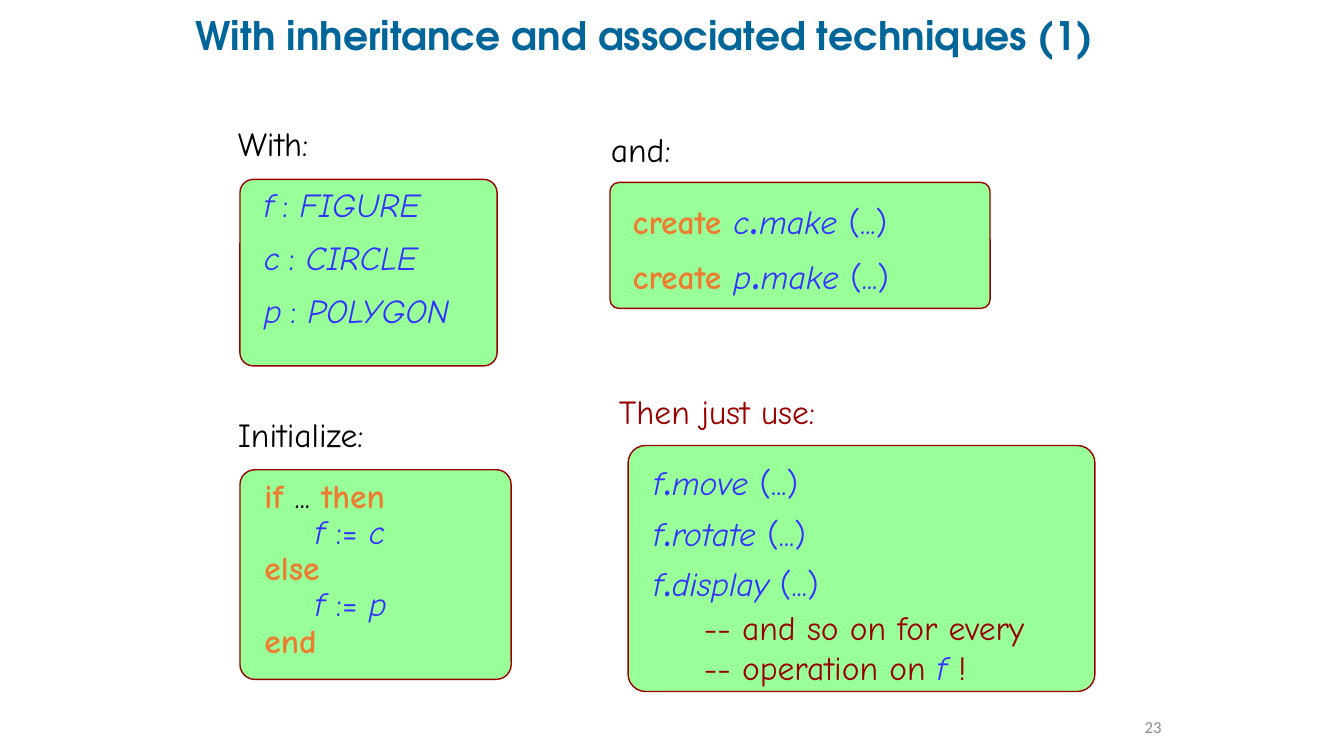
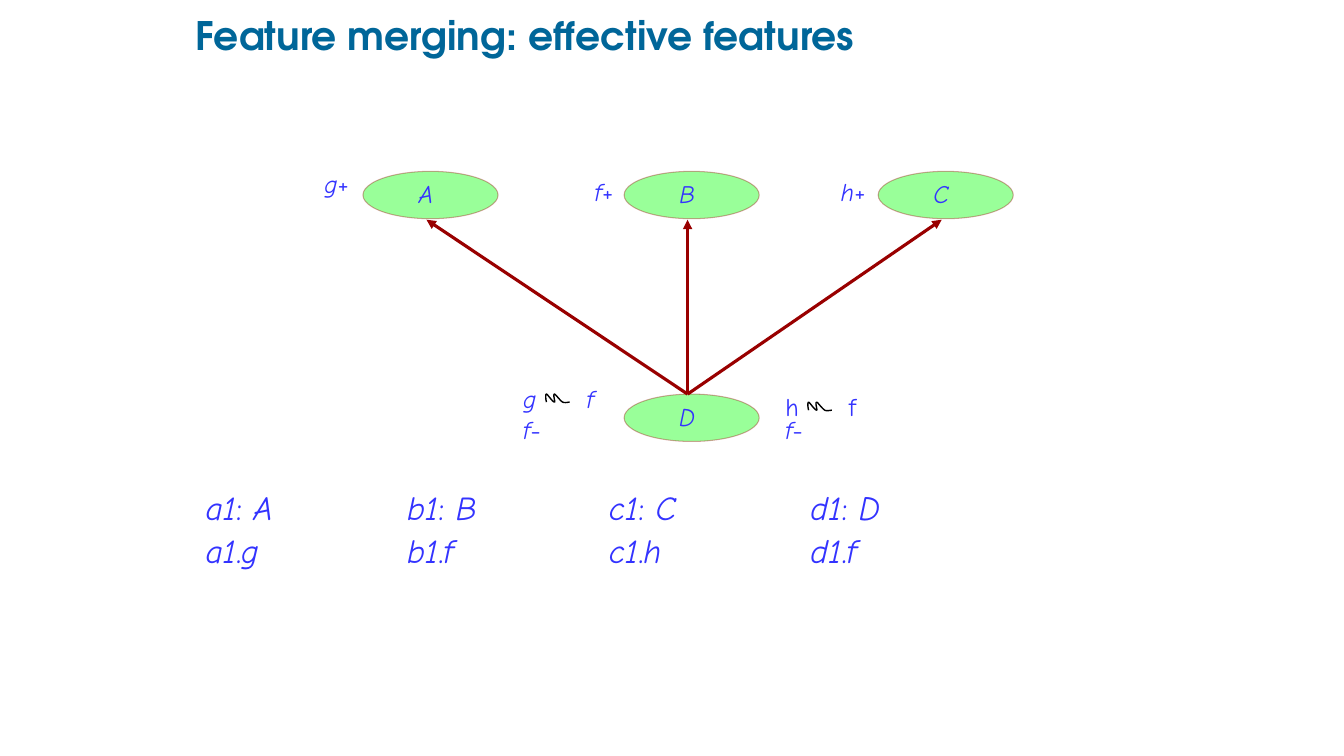
from dataclasses import dataclass

from lxml import etree
from pptx import Presentation
from pptx import util as u
from pptx.dml.color import RGBColor
from pptx.enum import shapes, text
from pptx.oxml.ns import qn


@dataclass(frozen=True)
class Theme:
    title_font: str = "TeX Gyre Adventor"
    body_font: str = "Comic Neue"
    number_font: str = "Calibri"
    title_color: str = "006699"
    code_color: str = "3333FF"
    keyword_color: str = "ED7D31"
    accent: str = "990000"
    panel: str = "99FF99"
    black: str = "000000"
    gray: str = "8C8C8C"
    title_size: int = 28
    body_size: int = 24
    label_size: int = 18
    number_size: int = 12


THEME = Theme()
PLAIN = {}
ITALIC = {"italic": True}
KEYWORD = {"bold": True, "color": THEME.keyword_color}
COMMENT = {"color": THEME.accent}
BLACK = {"color": THEME.black}
SMALL = {"size": THEME.label_size}
TEXT_INSETS = (0.1, 0.05, 0.1, 0.05)
CODE_INSETS = (0.2, 0.05, 0.12, 0.05)
NO_INSETS = (0, 0, 0, 0)
SQUIGGLE_START = (0.01, 0.08)
SQUIGGLE_CURVES = [
    ((0, 0.04), (0, 0), (0.01, 0)),
    ((0.02, 0), (0.07, 0.08), (0.09, 0.08)),
    ((0.1, 0.08), (0.07, 0), (0.09, 0)),
    ((0.1, 0), (0.14, 0.06), (0.17, 0.08)),
    ((0.19, 0.09), (0.23, 0.08), (0.24, 0.08)),
]


def set_font(font, name=None, size=None, color=None, bold=None, italic=None):
    if name:
        font.name = name
    if size:
        font.size = u.Pt(size)
    if color:
        font.color.rgb = RGBColor.from_string(color)
    if bold is not None:
        font.bold = bold
    if italic is not None:
        font.italic = italic


def line(*spans, spacing=None, before=0, indent=0, tabs=(), align=None):
    return dict(spans=spans, spacing=spacing, before=before, indent=indent,
                tabs=tabs, align=align)


def write_paragraph(para, content, font):
    properties = para._p.get_or_add_pPr()
    if content["indent"]:
        properties.set("marL", str(u.Inches(content["indent"])))
        properties.set("indent", "0")
    if content["tabs"]:
        stops = etree.SubElement(properties, qn("a:tabLst"))
        for position in content["tabs"]:
            etree.SubElement(stops, qn("a:tab"), pos=str(u.Inches(position)), algn="l")
    if content["spacing"]:
        para.line_spacing = content["spacing"]
    if content["before"]:
        para.space_before = u.Pt(content["before"])
    para.alignment = content["align"] or text.PP_ALIGN.LEFT
    set_font(para.font, **font)
    for words, style in content["spans"]:
        if words == "\n":
            para.add_line_break()
            continue
        span = para.add_run()
        span.text = words
        set_font(span.font, **style)


def write_text(shape, lines, insets, font, anchor=text.MSO_ANCHOR.TOP):
    frame = shape.text_frame
    frame.word_wrap = True
    frame.vertical_anchor = anchor
    (frame.margin_left, frame.margin_top,
     frame.margin_right, frame.margin_bottom) = map(u.Inches, insets)
    for index, content in enumerate(lines):
        para = frame.add_paragraph() if index else frame.paragraphs[0]
        write_paragraph(para, content, font)


def body_font(size=THEME.body_size, color=THEME.code_color):
    return dict(name=THEME.body_font, size=size, color=color)


def add_text(page, at, lines, font, insets=TEXT_INSETS, anchor=text.MSO_ANCHOR.TOP):
    box = page.shapes.add_textbox(*map(u.Inches, at))
    write_text(box, lines, insets, font, anchor)


def add_title(page, words):
    font = dict(name=THEME.title_font, size=THEME.title_size,
                color=THEME.title_color, bold=True)
    add_text(page, (1.94, 0.13, 9.37, 0.48), [line((words, PLAIN), spacing=0.9)],
             font, NO_INSETS, text.MSO_ANCHOR.MIDDLE)


def add_page_number(page, number):
    font = dict(name=THEME.number_font, size=THEME.number_size, color=THEME.gray)
    add_text(page, (11.02, 6.93, 0.6, 0.57),
             [line((number, PLAIN), align=text.PP_ALIGN.RIGHT)],
             font, (0.1,) * 4, text.MSO_ANCHOR.MIDDLE)


def add_heading(page, left, top, words, color=THEME.black):
    add_text(page, (left, top, 3.78, 0.5), [line((words, PLAIN))], body_font(color=color))


def add_panel(page, kind, at, line_width):
    panel = page.shapes.add_shape(kind, *map(u.Inches, at))
    panel.shadow.inherit = False
    panel.fill.solid()
    panel.fill.fore_color.rgb = RGBColor.from_string(THEME.panel)
    panel.line.color.rgb = RGBColor.from_string(THEME.accent)
    panel.line.width = u.Pt(line_width)
    return panel


def add_code(page, at, lines):
    panel = add_panel(page, shapes.MSO_SHAPE.ROUNDED_RECTANGLE, at, 1)
    panel.adjustments[0] = 0.071
    write_text(panel, lines, CODE_INSETS, body_font())


def add_class(page, left, top, name):
    ellipse = add_panel(page, shapes.MSO_SHAPE.OVAL, (left, top, 1.34, 0.47), 0.75)
    color = ellipse.line._ln.find(".//" + qn("a:srgbClr"))
    etree.SubElement(color, qn("a:alpha"), val="34000")
    write_text(ellipse, [line((name, ITALIC), align=text.PP_ALIGN.CENTER)],
               (0, 0, 0.09, 0), body_font(THEME.label_size))


def add_arrow(page, start, end):
    arrow = page.shapes.add_connector(
        shapes.MSO_CONNECTOR.STRAIGHT, *map(u.Inches, start + end))
    arrow.line.color.rgb = RGBColor.from_string(THEME.accent)
    arrow.line.width = u.Pt(2.25)
    etree.SubElement(arrow.line._ln, qn("a:tailEnd"), type="triangle")
    etree.SubElement(arrow._element.spPr, qn("a:effectLst"))


def add_label(page, left, top, *spans, tabs=()):
    add_text(page, (left, top, 0.94, 0.4), [line(*spans, tabs=tabs)],
             body_font(THEME.label_size))


def curve_points(start, curves, steps=8):
    for first, second, end in curves:
        for step in range(1, steps + 1):
            t = step / steps
            weights = ((1 - t) ** 3, 3 * t * (1 - t) ** 2, 3 * t * t * (1 - t), t ** 3)
            yield tuple(sum(weight * point[axis] for weight, point
                            in zip(weights, (start, first, second, end)))
                        for axis in (0, 1))
        start = end


def add_squiggle(page, left, top):
    def place(point):
        return u.Inches(left + point[0]), u.Inches(top + point[1])

    builder = page.shapes.build_freeform(*place(SQUIGGLE_START))
    points = curve_points(SQUIGGLE_START, SQUIGGLE_CURVES)
    builder.add_line_segments([place(point) for point in points], close=False)
    squiggle = builder.convert_to_shape()
    squiggle.shadow.inherit = False
    squiggle.fill.background()
    squiggle.line.color.rgb = RGBColor.from_string(THEME.black)
    squiggle.line.width = u.Pt(1)


def add_renaming(page, left, top, old, style):
    add_squiggle(page, left + 0.32, top + 0.16)
    add_label(page, left, top, (old + "\tf", style), tabs=(0.63,))
    add_label(page, left, 4.06, ("f", ITALIC), ("-", PLAIN))


def call(target, feature, dot_size):
    return [(target, ITALIC), (".", {"size": dot_size}), (feature, ITALIC), (" (...)", PLAIN)]


def assignment(source):
    return line(("f", ITALIC), (" := ", PLAIN), (source, ITALIC), spacing=0.9, indent=0.5)


def build_inheritance(page):
    add_title(page, "With inheritance and associated techniques (1)")
    add_heading(page, 2.26, 1.17, "With:")
    add_heading(page, 2.26, 4.06, "Initialize:")
    add_heading(page, 5.96, 1.23, "and:")
    add_heading(page, 6.04, 3.83, "Then just use:", THEME.accent)
    declarations = [("f", "FIGURE"), ("c", "CIRCLE"), ("p", "POLYGON")]
    add_code(page, (2.38, 1.78, 2.55, 1.85), [
        line((name, ITALIC), (" ", SMALL), (": ", PLAIN), (kind, ITALIC),
             spacing=0.9, before=12 if index else 0)
        for index, (name, kind) in enumerate(declarations)])
    add_code(page, (6.05, 1.81, 3.77, 1.25), [
        line(("create ", KEYWORD), *call(name, "make", 44), spacing=0.75)
        for name in "cp"])
    add_code(page, (2.38, 4.66, 2.69, 2.08), [
        line(("if", KEYWORD), (" ... ", BLACK), ("then", KEYWORD), spacing=0.9),
        assignment("c"),
        line(("else", KEYWORD), spacing=0.9),
        assignment("p"),
        line(("end", KEYWORD), spacing=0.9)])
    calls = [line(*call("f", feature, 40), spacing=0.75)
             for feature in ("move", "rotate", "display")]
    remark = line(("-- and so on for every", COMMENT), ("\n", PLAIN),
                  ("-- operation on ", COMMENT), ("f ", ITALIC), ("!", COMMENT), indent=0.5)
    add_code(page, (6.23, 4.42, 4.63, 2.44), calls + [remark])
    add_page_number(page, "23")


def build_merging(page):
    add_title(page, "Feature merging: effective features")
    entities = [("a1", "A", "g"), ("b1", "B", "f"), ("c1", "C", "h"), ("d1", "D", "f")]
    declarations, calls = [], []
    for index, (name, kind, feature) in enumerate(entities):
        lead = "\t" if index else ""
        declarations += [(lead + name, ITALIC), (": ", PLAIN), (kind, ITALIC)]
        calls += [(lead + name, ITALIC), (".", PLAIN), (feature, ITALIC)]
    add_text(page, (1.94, 4.83, 9.4, 1), [
        line(*declarations, spacing=0.9, tabs=(2, 4, 6)),
        line(*calls, spacing=0.9, before=4.8, tabs=(2, 4, 6))], body_font())
    parents = [("A", 3.6, "g", 3.12, 1.62), ("B", 6.19, "f", 5.8, 1.7),
               ("C", 8.71, "h", 8.24, 1.7)]
    add_class(page, 6.19, 3.91, "D")
    for name, left, feature, label_left, label_top in parents:
        add_class(page, left, 1.7, name)
        add_arrow(page, (6.82, 3.91), (left + 0.63, 2.18))
        add_label(page, label_left, label_top, (feature, ITALIC), ("+", PLAIN))
    add_renaming(page, 5.09, 3.75, "g", ITALIC)
    add_renaming(page, 7.69, 3.83, "h", PLAIN)


def main():
    deck = Presentation()
    deck.slide_width, deck.slide_height = u.Inches(13.33), u.Inches(7.5)
    for build in (build_inheritance, build_merging):
        build(deck.slides.add_slide(deck.slide_layouts[6]))
    deck.save("out.pptx")


if __name__ == "__main__":
    main()
